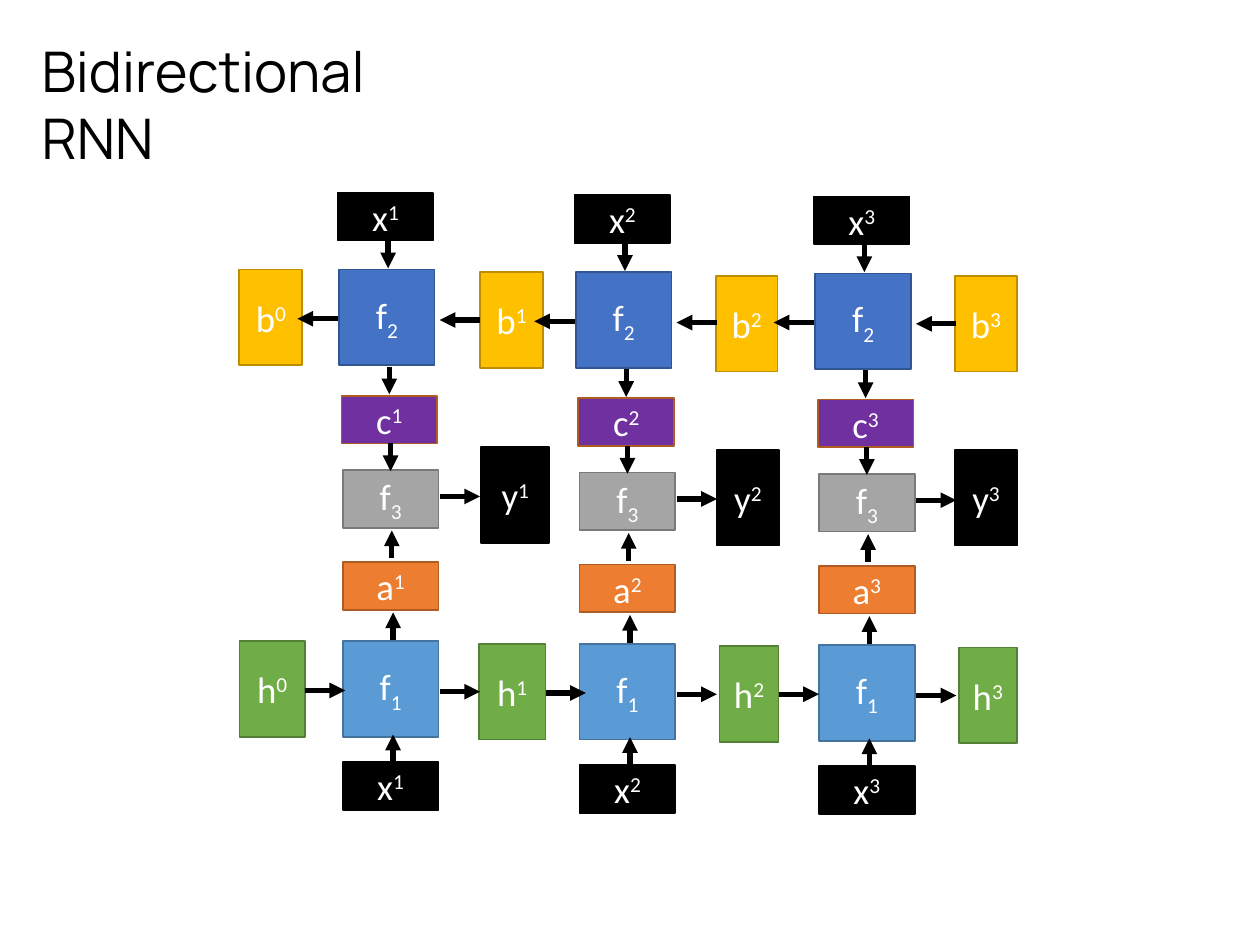
from pptx import Presentation
from pptx.dml.color import RGBColor
from pptx.enum.shapes import MSO_CONNECTOR, MSO_SHAPE
from pptx.enum.text import MSO_ANCHOR, PP_ALIGN
from pptx.oxml.ns import qn
from pptx.util import Inches, Pt
from lxml import etree

RECTANGLE = MSO_SHAPE.RECTANGLE
STRAIGHT = MSO_CONNECTOR.STRAIGHT
TOP, MIDDLE = MSO_ANCHOR.TOP, MSO_ANCHOR.MIDDLE
LEFT, CENTER = PP_ALIGN.LEFT, PP_ALIGN.CENTER
SUPERSCRIPT, SUBSCRIPT = "30000", "-25000"

THEME = {
    "title": {"name": "Manrope", "size": Pt(32), "color": "000000", "bold": False},
    "label": {"name": "Calibri", "size": Pt(21), "color": "FFFFFF"},
    "arrow": ("000000", 3),
    "outline_width": 1,
    # role: (fill, outline)
    "forward": ("5B9BD5", "43739E"),
    "forward_state": ("70AD47", "538035"),
    "forward_output": ("ED7D31", "AF5C24"),
    "backward": ("4472C4", "325491"),
    "backward_state": ("FFC000", "BD8E00"),
    "backward_output": ("7030A0", "AF5C24"),
    "merge": ("A5A5A5", "7A7A7A"),
    "data": ("000000", "000000"),
}

TITLE = "Bidirectional RNN"
TITLE_AREA = (0.23, 0.24, 3.42, 0.64)

# Shift of each time step against the first one
STEPS = [(0, 0), (1.88, 0.02), (3.78, 0.03)]
CELL = 0.76
HALF = CELL / 2

# letter, fixed subscript (None: step number as superscript), role, left, top, height
STEP_BOXES = [
    ("x", None, "data", 2.68, 1.53, HALF),
    ("f", "2", "backward", 2.69, 2.14, CELL),
    ("c", None, "backward_output", 2.71, 3.14, HALF),
    ("f", "3", "merge", 2.72, 3.73, 0.46),
    ("a", None, "forward_output", 2.72, 4.46, HALF),
    ("f", "1", "forward", 2.72, 5.09, CELL),
    ("x", None, "data", 2.72, 6.05, HALF),
]

# letter, first number, role, [(left, top, width), ...]
STATE_ROWS = [
    ("b", 0, "backward_state",
     [(1.9, 2.14, 0.5), (3.81, 2.16, 0.5), (5.68, 2.19, 0.49), (7.58, 2.19, 0.49)]),
    ("y", 1, "data",
     [(3.82, 3.55, 0.54), (5.69, 3.57, 0.49), (7.58, 3.57, 0.49)]),
    ("h", 0, "forward_state",
     [(1.9, 5.09, 0.52), (3.8, 5.11, 0.53), (5.71, 5.13, 0.47), (7.61, 5.14, 0.46)]),
]

RISE, RUN = 0.22, 0.32
# start x, start y, length across, length down
STEP_ARROWS = [
    (3.08, 1.91, 0, RISE),
    (3.09, 2.91, 0, RISE),
    (3.10, 3.52, 0, RISE),
    (3.11, 4.43, 0, -RISE),
    (3.12, 5.08, 0, -RISE),
    (3.12, 6.05, 0, -RISE),
    (2.68, 2.53, -RUN, 0),
    (3.81, 2.54, -RUN, 0),
    (3.49, 3.94, RUN, 0),
    (3.49, 5.49, RUN, 0),
]
FORWARD_INPUT_Y = 5.48


def format_font(font, style):
    for key, value in style.items():
        if key == "color":
            font.color.rgb = RGBColor.from_string(value)
        else:
            setattr(font, key, value)


def add_box(slide, area, role, letter, index, baseline):
    box = slide.shapes.add_shape(RECTANGLE, *map(Inches, area))
    box.shadow.inherit = False
    fill, outline = THEME[role]
    box.fill.solid()
    box.fill.fore_color.rgb = RGBColor.from_string(fill)
    box.line.color.rgb = RGBColor.from_string(outline)
    box.line.width = Pt(THEME["outline_width"])
    frame = box.text_frame
    frame.word_wrap = False
    frame.vertical_anchor = MIDDLE
    para = frame.paragraphs[0]
    para.alignment = CENTER
    for text in (letter, index):
        span = para.add_run()
        span.text = text
        format_font(span.font, THEME["label"])
    span._r.get_or_add_rPr().set("baseline", baseline)


def add_arrow(slide, x, y, across, down):
    ends = map(Inches, (x, y, x + across, y + down))
    arrow = slide.shapes.add_connector(STRAIGHT, *ends)
    color, width = THEME["arrow"]
    arrow.line.color.rgb = RGBColor.from_string(color)
    arrow.line.width = Pt(width)
    etree.SubElement(arrow.line._get_or_add_ln(), qn("a:tailEnd"), type="triangle")
    etree.SubElement(arrow._element.spPr, qn("a:effectLst"))


def add_title(slide):
    title = slide.shapes.title
    title.left, title.top, title.width, title.height = map(Inches, TITLE_AREA)
    frame = title.text_frame
    frame.word_wrap = True
    frame.vertical_anchor = TOP
    para = frame.paragraphs[0]
    para.alignment = LEFT
    span = para.add_run()
    span.text = TITLE
    format_font(span.font, THEME["title"])


def main():
    deck = Presentation()
    deck.slide_width, deck.slide_height = Inches(10), Inches(7.5)
    slide = deck.slides.add_slide(deck.slide_layouts[5])
    add_title(slide)

    for step, (dx, dy) in enumerate(STEPS, start=1):
        for letter, subscript, role, left, top, height in STEP_BOXES:
            add_box(slide, (left + dx, top + dy, CELL, height), role, letter,
                    subscript or str(step), SUBSCRIPT if subscript else SUPERSCRIPT)

    for letter, first, role, places in STATE_ROWS:
        for number, (left, top, width) in enumerate(places, start=first):
            add_box(slide, (left, top, width, CELL), role, letter,
                    str(number), SUPERSCRIPT)

    forward_states = STATE_ROWS[-1][-1]
    for (dx, dy), (left, _, width) in zip(STEPS, forward_states):
        for x, y, across, down in STEP_ARROWS:
            add_arrow(slide, x + dx, y + dy, across, down)
        add_arrow(slide, left + width, FORWARD_INPUT_Y + dy, RUN, 0)

    deck.save("out.pptx")


if __name__ == "__main__":
    main()
